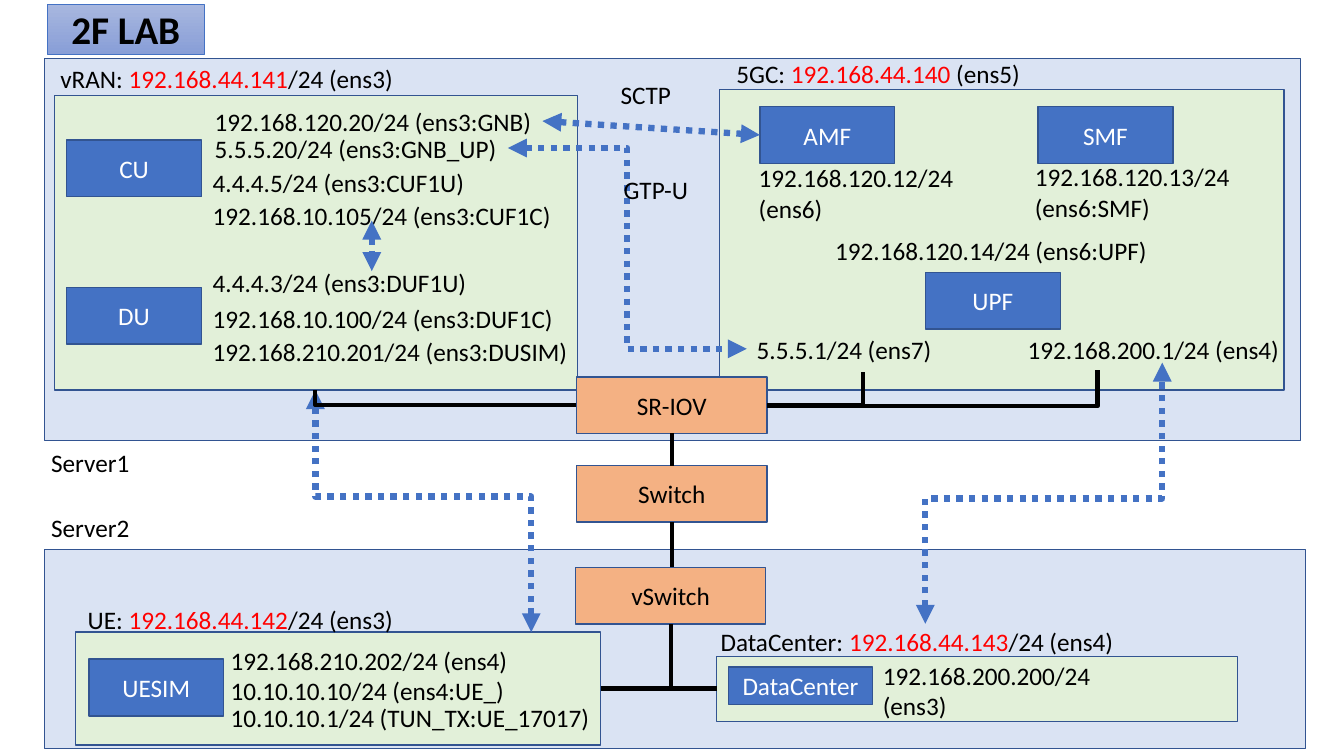
from pptx import Presentation
from pptx.dml.color import RGBColor
from pptx.enum.dml import MSO_LINE
from pptx.enum.shapes import MSO_CONNECTOR, MSO_SHAPE
from pptx.enum.text import MSO_ANCHOR, MSO_AUTO_SIZE, PP_ALIGN
from pptx.oxml.ns import qn
from pptx.util import Cm, Pt
from lxml.etree import SubElement

WHITE = RGBColor(0xFF, 0xFF, 0xFF)
BLACK = RGBColor(0, 0, 0)
RED = RGBColor(0xFF, 0, 0)
PALE = RGBColor(0xDA, 0xE3, 0xF3)
GREEN = RGBColor(0xE2, 0xF0, 0xD9)
BLUE = RGBColor(0x44, 0x72, 0xC4)
NAVY = RGBColor(0x32, 0x54, 0x91)
ORANGE = RGBColor(0xF4, 0xB1, 0x83)
LIGHT = RGBColor(0xA8, 0xB7, 0xDF)
DARK = RGBColor(0x88, 0x9E, 0xD7)

# Boxes in cm: left, top, width, height
NODE = (3.4, 1.43)
HUB = (4.8, 1.43)
PANELS = [
    ((1.12, 13.84, 31.78, 5.03), PALE),
    ((1.12, 1.47, 31.65, 9.63), PALE),
    ((18.14, 2.26, 14.22, 7.57), GREEN),
    ((1.37, 2.41, 13.18, 7.42), GREEN),
    ((18.06, 16.54, 13.13, 1.65), GREEN),
    ((1.9, 15.93, 13.23, 2.84), GREEN),
]
NODES = [
    ("CU", (1.68, 3.53, *NODE)),
    ("DU", (1.68, 7.24, *NODE)),
    ("AMF", (19.15, 2.69, *NODE)),
    ("SMF", (26.16, 2.69, *NODE)),
    ("UPF", (23.32, 6.86, *NODE)),
    ("UESIM", (2.24, 16.61, *NODE)),
    ("DataCenter", (18.36, 16.81, 3.63, 0.94)),
]
HUBS = [
    ("SR-IOV", (14.53, 9.5, *HUB)),
    ("Switch", (14.53, 11.73, *HUB)),
    ("vSwitch", (14.5, 14.3, *HUB)),
]

# Host names: name, address in red, rest
HOSTS = [
    (("vRAN: ", "192.168.44.141", "/24 (ens3)"), (1.27, 1.35, 9.58, 1.27)),
    (("5GC: ", "192.168.44.140", " (ens5)"), (18.31, 1.3, 11.96, 1.12)),
    (("DataCenter: ", "192.168.44.143", "/24 (ens4)"),
     (17.91, 15.67, 12.42, 0.97)),
    (("UE: ", "192.168.44.142", "/24 (ens3)"), (1.96, 15.09, 12.12, 1.02)),
]
PORTS = [
    (["192.168.120.20/24 (ens3:GNB)"], (5.16, 2.54, 8.48, 1.04)),
    (["5.5.5.20/24 (ens3:GNB_UP)"], (5.16, 3.23, 7.65, 1.02)),
    (["4.4.4.5/24 (ens3:CUF1U)"], (5.11, 4.06, 7.26, 1.07)),
    (["192.168.10.105/24 (ens3:CUF1C)"], (5.11, 4.9, 9.37, 1.04)),
    (["4.4.4.3/24 (ens3:DUF1U)"], (5.11, 6.58, 7.26, 1.07)),
    (["192.168.10.100/24 (ens3:DUF1C)"], (5.11, 7.42, 9.6, 1.22)),
    (["192.168.210.201/24 (ens3:DUSIM)"], (5.11, 8.36, 9.86, 0.97)),
    (["192.168.120.12/24", "(ens6)"], (18.87, 4.24, 5.79, 1.24)),
    (["192.168.120.13/24", "(ens6:SMF)"], (25.83, 4.37, 8, 0.94)),
    (["192.168.120.14/24 (ens6:UPF)"], (20.8, 5.74, 8.46, 1.12)),
    (["5.5.5.1/24 (ens7)"], (18.82, 7.9, 7.26, 1.8)),
    (["192.168.200.1/24 (ens4)"], (25.65, 7.9, 7.26, 1.8)),
    (["192.168.200.200/24 (ens3)"], (22, 17.04, 6.6, 0.71)),
    (["192.168.210.202/24 (ens4)"], (5.56, 16.15, 10.13, 0.99)),
    (["10.10.10.10/24 (ens4:UE_)"], (5.56, 16.87, 8.2, 1.07)),
    (["10.10.10.1/24 (TUN_TX:UE_17017)"], (5.56, 17.53, 10.44, 1.12)),
    (["Server1"], (1.04, 11.02, 2.59, 1.27)),
    (["Server2"], (1.04, 12.65, 2.59, 1.27)),
]
NOTES = [
    (["SCTP"], (15.39, 1.75, 1.93, 1.27)),
    (["GTP-U"], (15.47, 3.99, 2.34, 1.57)),
]

# Ends of links in cm
FLOWS = [((9.37, 5.56), (9.37, 6.83)), ((13.67, 3.05), (19.15, 3.4))]
WIRES = [((16.94, 10.92), (16.94, 11.73)), ((16.93, 13.16), (16.93, 14.3))]
CORNERS = [
    ((15.14, 17.35), (16.92, 15.72)),
    ((18.06, 17.35), (16.92, 15.72)),
    ((19.33, 10.21), (21.75, 9.37)),
    ((14.53, 10.21), (7.95, 9.83)),
    ((19.33, 10.24), (27.66, 9.32)),
]


def style(para, color, size=18):
    font = para.font
    font.name, font.size = "Calibri", Pt(size)
    font.color.rgb = color


def box(shapes, area, fill, text="", color=BLACK):
    rect = shapes.add_shape(MSO_SHAPE.RECTANGLE, *map(Cm, area))
    rect.shadow.inherit = False
    rect.fill.solid()
    rect.fill.fore_color.rgb = fill
    rect.line.color.rgb = NAVY
    rect.line.width = Pt(1)
    if text:
        frame = rect.text_frame
        frame.margin_left = frame.margin_right = 0
        frame.vertical_anchor = MSO_ANCHOR.MIDDLE
        para = frame.paragraphs[0]
        para.text, para.alignment = text, PP_ALIGN.CENTER
        style(para, color)


def label(shapes, lines, area):
    frame = shapes.add_textbox(*map(Cm, area)).text_frame
    frame.word_wrap = True
    frame.margin_right = 0
    frame.vertical_anchor = MSO_ANCHOR.MIDDLE
    for i, line in enumerate(lines):
        para = frame.add_paragraph() if i else frame.paragraphs[0]
        para.text = line
        style(para, BLACK)
    return frame.paragraphs[0]


def host(shapes, parts, area):
    para = label(shapes, [""], area)
    for part, color in zip(parts, (BLACK, RED, BLACK)):
        run = para.add_run()
        run.text = part
        run.font.color.rgb = color


def link(shapes, start, end, kind=MSO_CONNECTOR.STRAIGHT, flow=False):
    wire = shapes.add_connector(kind, *map(Cm, (*start, *end)))
    wire.line.color.rgb = BLUE if flow else BLACK
    wire.line.width = Pt(4.5 if flow else 3)
    if flow:
        wire.line.dash_style = MSO_LINE.ROUND_DOT
        for tag in ("a:headEnd", "a:tailEnd"):
            SubElement(wire.line._get_or_add_ln(), qn(tag), type="triangle")
    SubElement(wire._element.spPr, qn("a:effectLst"))
    return wire


def corner(shapes, start, end):
    wire = link(shapes, start, end, MSO_CONNECTOR.ELBOW)
    wire._element.spPr.find(qn("a:prstGeom")).set("prst", "bentConnector2")


def bend(shapes, start, end, ratio, upright=False):
    (x1, y1), (x2, y2) = start, end
    if upright:  # lay the path on its side, then turn it by 90 degrees
        mx, my = (x1 + x2) / 2, (y1 + y2) / 2
        dx, dy = (y2 - y1) / 2, (x1 - x2) / 2
        start, end = (mx - dx, my - dy), (mx + dx, my + dy)
    wire = link(shapes, start, end, MSO_CONNECTOR.ELBOW, True)
    props = wire._element.spPr
    if upright:
        props.find(qn("a:xfrm")).set("rot", "5400000")
    guides = props.find(qn("a:prstGeom")).get_or_add_avLst()
    SubElement(guides, qn("a:gd"), name="adj1",
               fmla=f"val {round(ratio * 100000)}")


def heading(title):
    title.left, title.top, title.width, title.height = map(
        Cm, (1.19, 0.1, 3.96, 1.27))
    title.fill.gradient()
    title.fill.gradient_angle = 270
    for stop, color in zip(title.fill.gradient_stops, (LIGHT, DARK)):
        stop.color.rgb = color
    title.line.color.rgb = BLUE
    title.line.width = Pt(0.5)
    frame = title.text_frame
    frame.auto_size = MSO_AUTO_SIZE.NONE
    frame.vertical_anchor = MSO_ANCHOR.MIDDLE
    para = frame.paragraphs[0]
    para.text, para.alignment = "2F LAB", PP_ALIGN.CENTER
    style(para, BLACK, 28)
    para.font.bold = True


def main():
    deck = Presentation()
    deck.slide_width, deck.slide_height = Cm(33.87), Cm(19.05)
    shapes = deck.slides.add_slide(deck.slide_layouts[5]).shapes
    heading(shapes.title)

    # Servers, hosts and their addresses
    for area, fill in PANELS:
        box(shapes, area, fill)
    for text, area in NODES:
        box(shapes, area, BLUE, text, WHITE)
    for parts, area in HOSTS:
        host(shapes, parts, area)
    for lines, area in PORTS:
        label(shapes, lines, area)

    # Dotted data flows
    for start, end in FLOWS:
        link(shapes, start, end, flow=True)
    bend(shapes, (12.8, 3.73), (18.82, 8.79), 0.5)
    bend(shapes, (23.32, 15.72), (29.29, 9.14), 0.48, True)
    bend(shapes, (13.39, 15.93), (7.95, 9.83), 0.56, True)
    for lines, area in NOTES:
        label(shapes, lines, area)

    # Switches and cables
    for text, area in HUBS:
        box(shapes, area, ORANGE, text)
    for start, end in WIRES:
        link(shapes, start, end)
    for start, end in CORNERS:
        corner(shapes, start, end)
    deck.save("out.pptx")


if __name__ == "__main__":
    main()
